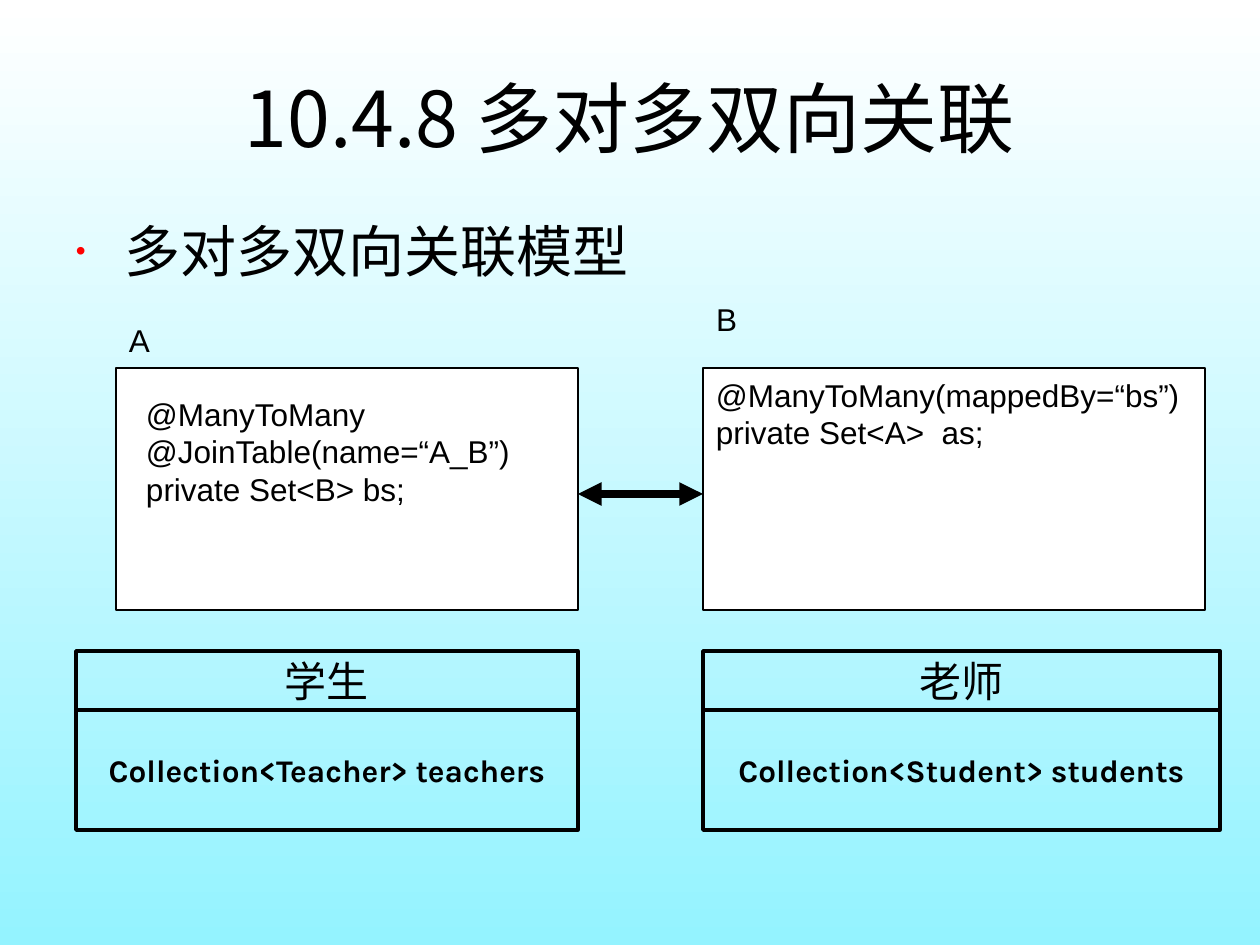
from dataclasses import dataclass

import lxml.etree
import pptx
import pptx.dml.color
import pptx.enum.shapes
import pptx.enum.text
import pptx.oxml.ns
import pptx.util

EMU_PER_PX = 914400 / 126
BLACK, WHITE, RED, AQUA = "000000", "FFFFFF", "FF0000", "94F3FF"
CJK, SANS, KARLA = "Noto Sans CJK SC", "Arial", "Karla"
LINE_PITCH = pptx.util.Pt(21.5)
ALIGN = pptx.enum.text.PP_ALIGN
ANCHOR = pptx.enum.text.MSO_ANCHOR
RECTANGLE = pptx.enum.shapes.MSO_SHAPE.RECTANGLE


@dataclass
class Entity:
    """A labelled code box; lengths in px."""
    label: str
    label_top: int
    left: int
    width: int
    inset_left: int
    inset_top: int
    code: str


@dataclass
class ClassTable:
    """A class name above its field; lengths in px."""
    left: int
    width: int
    name: str
    field: str


ENTITIES = [
    Entity("A", 315, 116, 462, 30, 27,
           "@ManyToMany\n@JoinTable(name=“A_B”)\nprivate Set<B> bs;"),
    Entity("B", 294, 703, 502, 13, 8,
           "@ManyToMany(mappedBy=“bs”)\nprivate Set<A>  as;"),
]
CLASS_TABLES = [
    ClassTable(703, 517, "老师", "Collection<Student> students"),
    ClassTable(76, 502, "学生", "Collection<Teacher> teachers"),
]
CODE_TOP, CODE_HEIGHT = 368, 242
NAME_TOP, NAME_HEIGHT, FIELD_HEIGHT = 651, 59, 120
ARROW_Y = 494


def px(length: int) -> int:
    return round(length * EMU_PER_PX)


def color(value: str) -> pptx.dml.color.RGBColor:
    return pptx.dml.color.RGBColor.from_string(value)


def add_xml(parent, tag: str, **attributes: str):
    return lxml.etree.SubElement(parent, pptx.oxml.ns.qn(tag), attributes)


def place(shape, left: int, top: int, width: int, height: int) -> None:
    shape.left, shape.top = px(left), px(top)
    shape.width, shape.height = px(width), px(height)


def write(shape, text: str, size: int, font: str, align=ALIGN.LEFT,
          anchor=ANCHOR.TOP, inset_left: int = 13, inset_top: int = 6,
          bold: bool = False, line_spacing=None) -> None:
    frame = shape.text_frame
    frame.text = text
    frame.word_wrap = True
    frame.auto_size = pptx.enum.text.MSO_AUTO_SIZE.NONE
    frame.vertical_anchor = anchor
    frame.margin_left, frame.margin_right = px(inset_left), px(13)
    frame.margin_top, frame.margin_bottom = px(inset_top), px(6)
    for para in frame.paragraphs:
        para.alignment = align
        para.space_before = pptx.util.Pt(0)
        para.line_spacing = line_spacing
        for span in para.runs:
            span.font.size = pptx.util.Pt(size)
            span.font.name = font
            span.font.bold = bold
            span.font.color.rgb = color(BLACK)
            add_xml(span.font._element, "a:ea", typeface=CJK)


def add_box(page, left: int, top: int, width: int, height: int,
            line_width: float, fill: str = ""):
    box = page.shapes.add_shape(RECTANGLE, 0, 0, 0, 0)
    place(box, left, top, width, height)
    box.shadow.inherit = False
    if fill:
        box.fill.solid()
        box.fill.fore_color.rgb = color(fill)
    else:
        box.fill.background()
    box.line.color.rgb = color(BLACK)
    box.line.width = pptx.util.Pt(line_width)
    return box


def add_entity(page, entity: Entity) -> None:
    box = add_box(page, entity.left, CODE_TOP, entity.width, CODE_HEIGHT, 0.75, WHITE)
    write(box, entity.code, 18, SANS, inset_left=entity.inset_left,
          inset_top=entity.inset_top, line_spacing=LINE_PITCH)
    label = page.shapes.add_textbox(0, 0, 0, 0)
    place(label, entity.left, entity.label_top, 210, 50)
    write(label, entity.label, 18, SANS, line_spacing=LINE_PITCH)


def add_class_table(page, table: ClassTable) -> None:
    name_box = add_box(page, table.left, NAME_TOP, table.width, NAME_HEIGHT, 2)
    write(name_box, table.name, 24, KARLA, ALIGN.CENTER, ANCHOR.MIDDLE)
    field_box = add_box(page, table.left, NAME_TOP + NAME_HEIGHT, table.width,
                        FIELD_HEIGHT, 2)
    write(field_box, table.field, 18, KARLA, ALIGN.CENTER, ANCHOR.MIDDLE, bold=True)


def add_double_arrow(page, start: int, end: int, y: int) -> None:
    arrow = page.shapes.add_connector(pptx.enum.shapes.MSO_CONNECTOR.STRAIGHT,
                                      px(start), px(y), px(end), px(y))
    arrow.line.color.rgb = color(BLACK)
    arrow.line.width = pptx.util.Pt(4.5)
    line = arrow.line._get_or_add_ln()
    for tag in ("a:headEnd", "a:tailEnd"):
        add_xml(line, tag, type="triangle")
    add_xml(arrow._element.spPr, "a:effectLst")


def add_bullet(para) -> None:
    properties = para._p.get_or_add_pPr()
    properties.set("marL", str(px(48)))
    properties.set("indent", str(px(-48)))
    add_xml(add_xml(properties, "a:buClr"), "a:srgbClr", val=RED)
    add_xml(properties, "a:buSzPct", val="50000")
    add_xml(properties, "a:buFont", typeface=SANS)
    add_xml(properties, "a:buChar", char="•")


def main() -> None:
    deck = pptx.Presentation()
    deck.slide_width, deck.slide_height = px(1260), px(945)
    page = deck.slides.add_slide(deck.slide_layouts[1])

    # Background, white at the top to aqua at the bottom
    background = page.background.fill
    background.gradient()
    background.gradient_angle = 270
    for stop, value in zip(background.gradient_stops, (WHITE, AQUA)):
        stop.color.rgb = color(value)

    # Title and bulleted heading
    title, body = page.shapes.title, page.placeholders[1]
    place(title, 63, 38, 1134, 157)
    write(title, "10.4.8 多对多双向关联", 44, CJK, ALIGN.CENTER, ANCHOR.MIDDLE)
    place(body, 63, 220, 1134, 624)
    write(body, "多对多双向关联模型", 32, CJK, inset_top=4, line_spacing=0.9)
    add_bullet(body.text_frame.paragraphs[0])

    # Entity code and class tables
    for entity in ENTITIES:
        add_entity(page, entity)
    for table in CLASS_TABLES:
        add_class_table(page, table)

    # Two-way association
    first, second = ENTITIES
    add_double_arrow(page, first.left + first.width, second.left, ARROW_Y)

    deck.save("out.pptx")


if __name__ == "__main__":
    main()
